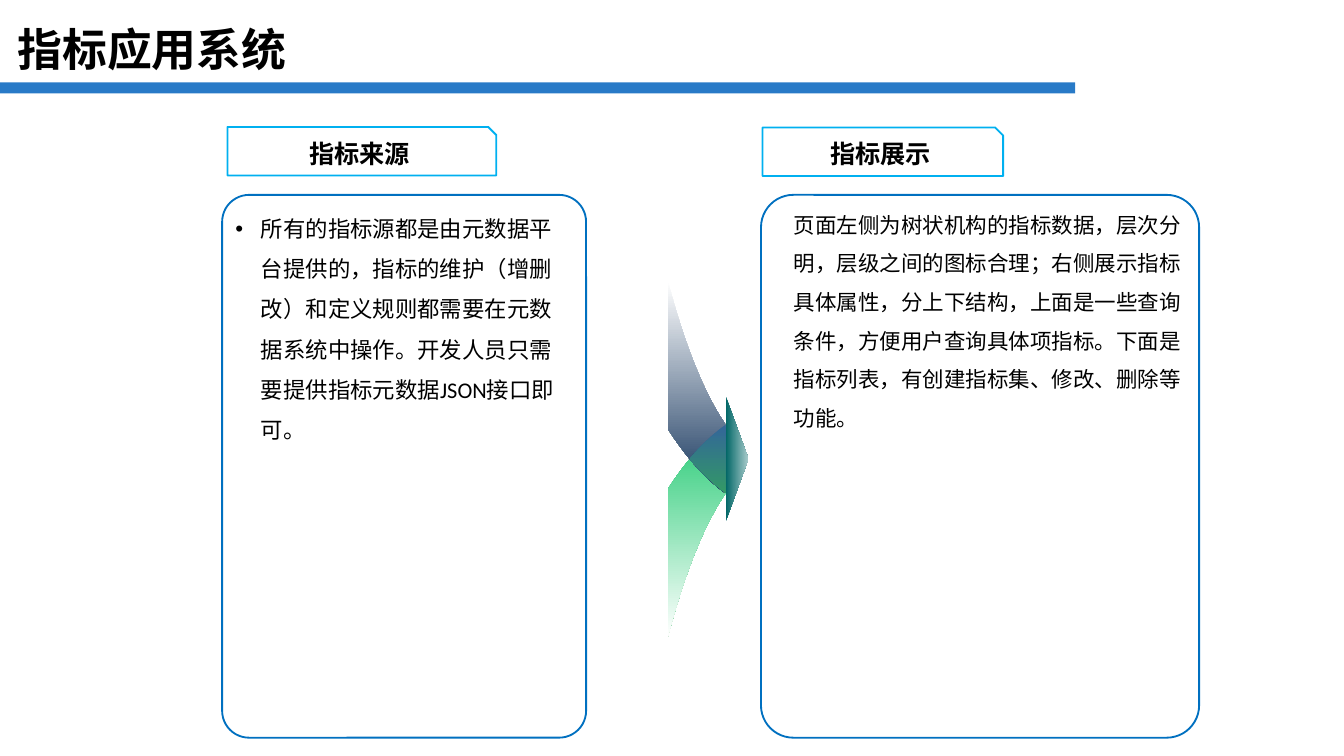
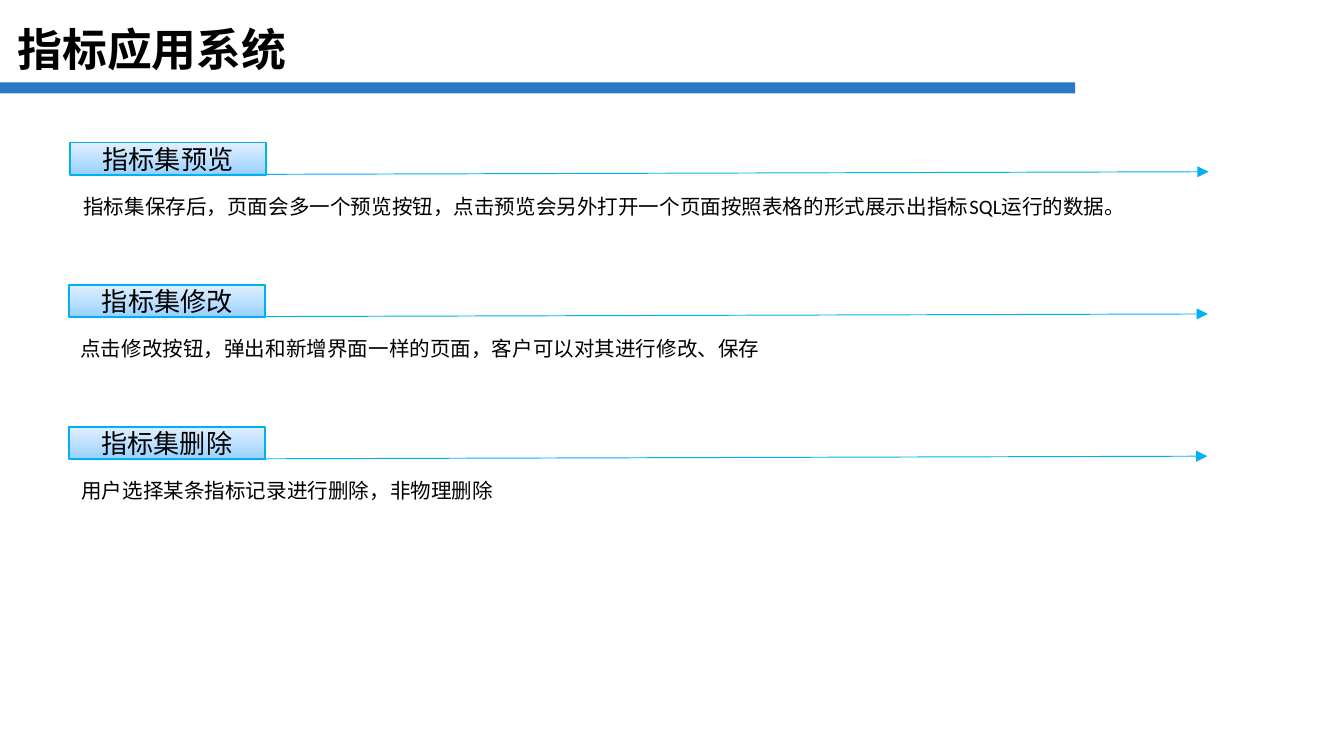
from lxml.etree import SubElement as Sub
from pptx import Presentation
from pptx.dml.color import RGBColor as RGB
from pptx.enum.shapes import MSO_CONNECTOR as CON, MSO_SHAPE as SHAPE
from pptx.enum.text import MSO_ANCHOR as ANCHOR, MSO_AUTO_SIZE as AUTO, PP_ALIGN as ALIGN
from pptx.oxml.ns import qn
from pptx.util import Pt

# Colours
BLACK, WHITE = RGB(0, 0, 0), RGB(255, 255, 255)
BAND = RGB(0x28, 0x7A, 0xC7)
CYAN = RGB(0x00, 0xB0, 0xF0)
BLUE = RGB(0x00, 0x70, 0xC0)
NAVY = RGB(0x17, 0x37, 0x5E)
GREEN = RGB(0x26, 0xCA, 0x74)
TEAL, MIST = RGB(0x00, 0x66, 0x66), RGB(0xA9, 0xCB, 0xCB)
STEEL, JADE = RGB(0x33, 0x66, 0x99), RGB(0x33, 0x99, 0x66)
SKY = [RGB(0x96, 0xD0, 0xFF), RGB(0xBF, 0xE1, 0xFF), RGB(0xE0, 0xEF, 0xFF)]

SANS, BODY = "Noto Sans CJK SC", "Calibri"
TITLE = "指标应用系统"

SOURCE = ("所有的指标源都是由元数据平台提供的，指标的维护（增删改）和定义规则都需要"
          "在元数据系统中操作。开发人员只需要提供指标元数据JSON接口即可。")
DISPLAY = ("页面左侧为树状机构的指标数据，层次分明，层级之间的图标合理；右侧展示指标"
           "具体属性，分上下结构，上面是一些查询条件，方便用户查询具体项指标。"
           "下面是指标列表，有创建指标集、修改、删除等功能。")
# Label, text, left of label, left of text
ROWS = [
    ("指标集预览", "指标集保存后，页面会多一个预览按钮，点击预览会另外打开一个页面"
     "按照表格的形式展示出指标SQL运行的数据。", 37.6, 37.6),
    ("指标集修改", "点击修改按钮，弹出和新增界面一样的页面，客户可以对其进行修改、保存",
     37.2, 36),
    ("指标集删除", "用户选择某条指标记录进行删除，非物理删除", 37, 36.5),
]


def write(shape, text, size=11, font=BODY, bold=False, align=ALIGN.LEFT,
          anchor=ANCHOR.TOP, space=None, bullet=0, inset=None):
    frame = shape.text_frame
    frame.word_wrap, frame.auto_size = True, AUTO.NONE
    frame.vertical_anchor = anchor
    if inset is not None:
        frame.margin_top = frame.margin_bottom = Pt(inset)
    para = frame.paragraphs[0]
    para.alignment = align
    if space:
        para.line_spacing = space
    if bullet:
        props = para._p.get_or_add_pPr()
        props.set("marL", str(Pt(bullet)))
        props.set("indent", str(-Pt(bullet)))
        Sub(props, qn("a:buFont")).set("typeface", "Arial")
        Sub(props, qn("a:buChar")).set("char", "•")
    run = para.add_run()
    run.text = text
    run.font.size, run.font.bold, run.font.name = Pt(size), bold, font
    run.font.color.rgb = BLACK
    Sub(run.font._element, qn("a:ea")).set("typeface", font)


def fade(shape, stops, angle):
    """Fill with evenly spaced stops; the angle runs clockwise."""
    shape.fill.gradient()
    shape.fill.gradient_angle = (360 - angle) % 360
    group = next(shape.element.iter(qn("a:gsLst")))
    for old in list(group):
        group.remove(old)
    for i, tint in enumerate(stops):
        stop = Sub(group, qn("a:gs"))
        stop.set("pos", str(100000 * i // (len(stops) - 1)))
        Sub(stop, qn("a:srgbClr")).set("val", str(tint))


def block(slide, kind, box, fill=WHITE, line=None):
    shape = slide.shapes.add_shape(kind, *map(Pt, box))
    shape.shadow.inherit = False
    shape.fill.solid()
    shape.fill.fore_color.rgb = fill
    if line:
        shape.line.color.rgb, shape.line.width = line, Pt(1)
    else:
        shape.line.fill.background()
    return shape


def note(slide, box, text, **style):
    write(slide.shapes.add_textbox(*map(Pt, box)), text, space=1.5, **style)


def arrow(slide, start, end):
    line = slide.shapes.add_connector(CON.STRAIGHT, *map(Pt, start + end))
    line.line.color.rgb, line.line.width = CYAN, Pt(0.5)
    Sub(line.line._get_or_add_ln(), qn("a:tailEnd")).set("type", "triangle")
    Sub(line.element.spPr, qn("a:effectLst"))


def curve(a, b, c, steps=16):
    """Points on the quadratic curve from a to c, drawn towards b."""
    ts = [i / steps for i in range(steps + 1)]
    return [tuple((1 - t) ** 2 * p + 2 * t * (1 - t) * q + t * t * r
                  for p, q, r in zip(a, b, c)) for t in ts]


def flip(points, axis=245.9):
    return [(x, 2 * axis - y) for x, y in points]


def outline(slide, points, stops, angle):
    dots = [(Pt(x), Pt(y)) for x, y in points]
    pen = slide.shapes.build_freeform(*dots[0], scale=1)
    pen.add_line_segments(dots[1:], close=True)
    shape = pen.convert_to_shape()
    shape.shadow.inherit = False
    shape.line.fill.background()
    fade(shape, stops, angle)


def merge(slide):
    """Two curved ribbons that join in one arrowhead."""
    edge = 388.8
    ribbon = (curve((edge, 264.2), (371.5, 289.4), (357.8, 341.3))
              + curve((357.8, 262.1), (372.6, 239), (edge, 227.5)))
    half = curve((edge, 227.5), (378.4, 235.4), (369.4, 245.9))
    outline(slide, ribbon, [GREEN, WHITE], 90)
    outline(slide, [(edge, 212.4), (edge, 279.4), (401, 245.9)], [TEAL, MIST], 0)
    outline(slide, flip(ribbon), [WHITE, NAVY], 90)
    outline(slide, half + flip(half)[-2::-1], [STEEL, JADE], 90)


def panel(slide, box, radius):
    shape = block(slide, SHAPE.ROUNDED_RECTANGLE, box, line=BLUE)
    shape.adjustments[0] = radius


def heading(slide, box, text):
    tab = block(slide, SHAPE.SNIP_1_RECTANGLE, box, line=CYAN)
    write(tab, text, size=13.5, bold=True, align=ALIGN.CENTER, anchor=ANCHOR.MIDDLE)


def page(deck, layout):
    slide = deck.slides.add_slide(layout)
    title = slide.shapes.title
    title.left, title.top, title.width, title.height = map(Pt, (2.2, 9.4, 325.4, 37.4))
    write(title, TITLE, size=24, font=SANS, bold=True, anchor=ANCHOR.MIDDLE, space=0.9)
    return slide


def sources(slide):
    heading(slide, (121.9, 68, 144, 26), "指标来源")
    panel(slide, (119, 104.4, 195, 290.8), 0.074)
    note(slide, (119, 104.4, 188.6, 138.2), SOURCE, size=12, bullet=13.7)
    heading(slide, (408.5, 68.3, 128.9, 26), "指标展示")
    merge(slide)
    panel(slide, (407.7, 104.4, 234.7, 290.8), 0.074)
    note(slide, (418.1, 103, 224.6, 153.4), DISPLAY, size=11.5)


def actions(slide):
    for i, (name, text, left, start) in enumerate(ROWS):
        top = 76.4 + 76.2 * i
        base = top + 17.3
        label = block(slide, SHAPE.RECTANGLE, (left, top, 105, 17.3), line=CYAN)
        fade(label, SKY, 270)
        write(label, name, size=14, align=ALIGN.CENTER, anchor=ANCHOR.MIDDLE, inset=0)
        arrow(slide, (left, base), (left + 609.8, base - 1.7))
        note(slide, (start, base, 609, 27.4), text)


def main():
    deck = Presentation()
    deck.slide_width, deck.slide_height = Pt(720), Pt(405)
    layout = deck.slide_layouts[5]
    first, second = page(deck, layout), page(deck, layout)
    # The band under the title belongs to the layout
    band = block(first, SHAPE.RECTANGLE, (0, 44.1, 576, 6), fill=BAND)
    layout.shapes.element.append(band.element)
    sources(first)
    actions(second)
    deck.save("out.pptx")


main()
